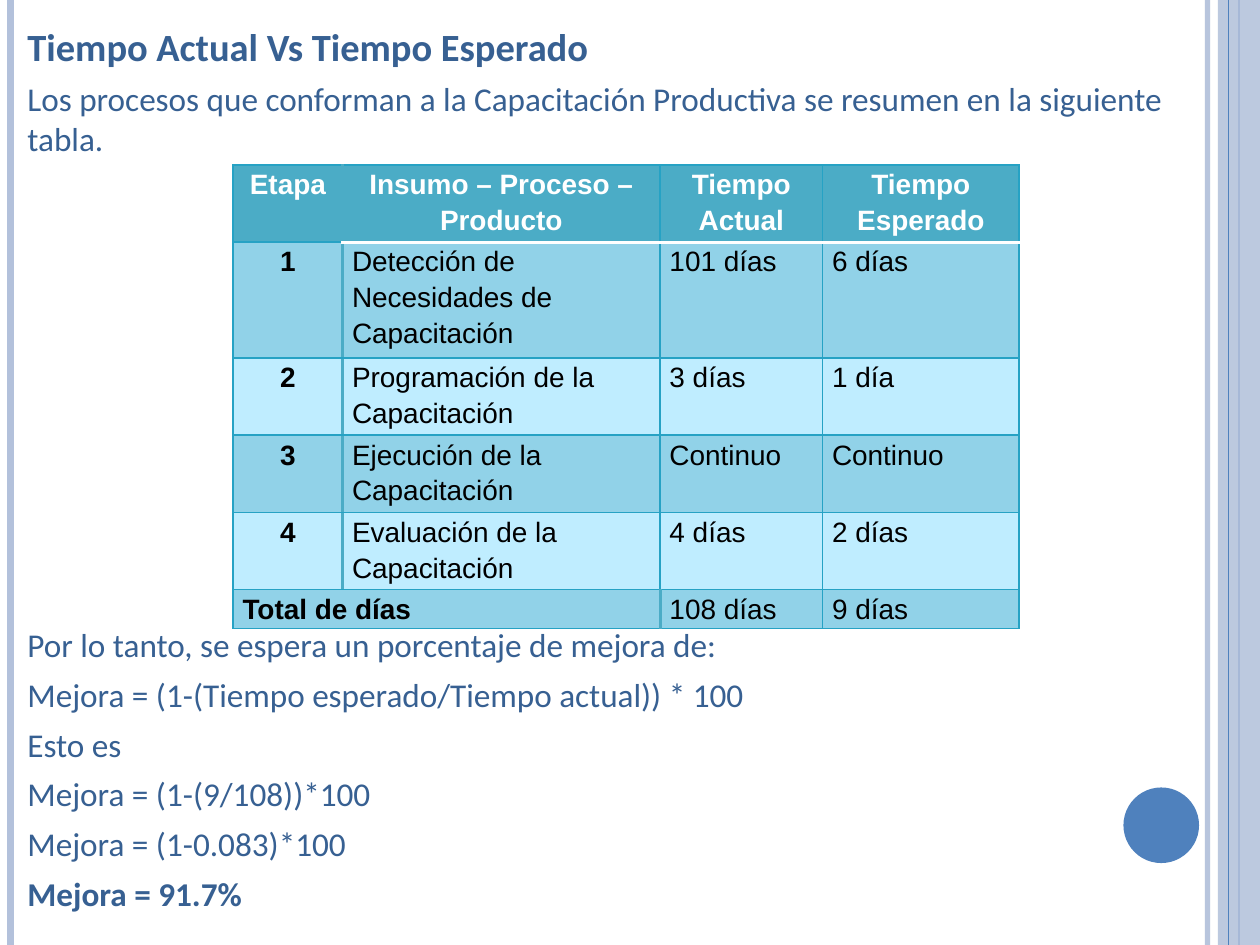
from lxml import etree
from pptx import Presentation
from pptx.dml.color import RGBColor
from pptx.enum import shapes, text
from pptx.oxml.ns import qn
from pptx.util import Pt

PALE, BLUE, INK = "B3C1DB", "4F81BD", "376092"
TEAL, EDGE, WHITE, BLACK = "4BACC6", "26A2C4", "FFFFFF", "000000"
DARK_BAND, LIGHT_BAND = "91D2E8", "BFEDFF"
PAGE_WIDTH, PAGE_HEIGHT = 720, 540
LINE_HEIGHT = 20.5  # one line of table text

COLUMN_WIDTHS = [62.6, 181.4, 92.9, 112.3]
ROWS = [  # lines of text in the row, then its cells
    (2, ["Etapa", "Insumo – Proceso – Producto", "Tiempo Actual", "Tiempo Esperado"]),
    (3, ["1", "Detección de Necesidades de Capacitación", "101 días", "6 días"]),
    (2, ["2", "Programación de la Capacitación", "3 días", "1 día"]),
    (2, ["3", "Ejecución de la Capacitación", "Continuo", "Continuo"]),
    (2, ["4", "Evaluación de la Capacitación", "4 días", "2 días"]),
    (1, ["Total de días", "", "108 días", "9 días"]),
]
INTRO = [
    ("Tiempo Actual Vs Tiempo Esperado", 22, True),
    ("Los procesos que conforman a la Capacitación Productiva se resumen "
     "en la siguiente tabla.", 19, False),
]
RESULT = [
    ("Por lo tanto, se espera un porcentaje de mejora de:", 19, False),
    ("Mejora = (1-(Tiempo esperado/Tiempo actual)) * 100", 19, False),
    ("Esto es", 19, False),
    ("Mejora = (1-(9/108))*100", 19, False),
    ("Mejora = (1-0.083)*100", 19, False),
    ("Mejora = 91.7%", 19, True),
]


def paint(color_format, color):
    color_format.rgb = RGBColor.from_string(color)


def set_alpha(shape, percent):
    color = next(shape._element.spPr.iter(qn("a:srgbClr")))
    etree.SubElement(color, qn("a:alpha")).set("val", str(percent * 1000))


def add_stripe(page, x, color, width):
    line = page.shapes.add_connector(
        shapes.MSO_CONNECTOR.STRAIGHT, Pt(x), Pt(0), Pt(x), Pt(PAGE_HEIGHT))
    paint(line.line.color, color)
    line.line.width = Pt(width)
    etree.SubElement(line._element.spPr, qn("a:effectLst"))
    return line


def add_solid(page, kind, left, top, width, height, color):
    shape = page.shapes.add_shape(kind, Pt(left), Pt(top), Pt(width), Pt(height))
    shape.shadow.inherit = False
    shape.fill.solid()
    paint(shape.fill.fore_color, color)
    shape.line.fill.background()
    return shape


def add_text(page, top, height, lines):
    box = page.shapes.add_textbox(Pt(8.6), Pt(top), Pt(686), Pt(height))
    frame = box.text_frame
    frame.word_wrap = True
    for index, (words, size, bold) in enumerate(lines):
        para = frame.paragraphs[0]
        if index:
            para = frame.add_paragraph()
            para.space_before = Pt(5.6)
        para.text = words
        para.font.name = "Calibri"
        para.font.size = Pt(size)
        para.font.bold = bold
        paint(para.font.color, INK)


def set_borders(cell, borders):
    """Borders come as (color, width) for left, right, top and bottom."""
    properties = cell._tc.get_or_add_tcPr()
    for index, (side, (color, width)) in enumerate(zip("LRTB", borders)):
        line = etree.Element(qn(f"a:ln{side}"), w=str(Pt(width)))
        solid = etree.SubElement(line, qn("a:solidFill"))
        etree.SubElement(solid, qn("a:srgbClr"), val=color)
        properties.insert(index, line)


def fill_cell(cell, words, row, column):
    header, first = row == 0, column == 0
    total = row == len(ROWS) - 1
    cell.margin_left = cell.margin_right = Pt(5.4)
    cell.margin_top = cell.margin_bottom = Pt(0)
    cell.fill.solid()
    band = DARK_BAND if row % 2 else LIGHT_BAND
    paint(cell.fill.fore_color, TEAL if header else band)

    para = cell.text_frame.paragraphs[0]
    para.text = words
    para.line_spacing = 1.15
    if header or (first and not total):
        para.alignment = text.PP_ALIGN.CENTER
    para.font.name = "Arial"
    para.font.size = Pt(16)
    para.font.bold = header or first
    paint(para.font.color, WHITE if header else BLACK)

    thin, thick, rule = (EDGE, 1), (TEAL, 2), (WHITE, 2)
    left = thick if column == 1 else thin
    right = thick if first else thin
    top = rule if row == 1 and not first else thin
    bottom = rule if header and not first else thin
    set_borders(cell, [left, right, top, bottom])


def add_times_table(page):
    frame = page.shapes.add_table(
        len(ROWS), len(COLUMN_WIDTHS), Pt(133.2), Pt(94.2),
        Pt(sum(COLUMN_WIDTHS)), Pt(LINE_HEIGHT * sum(count for count, _ in ROWS)))
    table = frame.table
    for column, width in zip(table.columns, COLUMN_WIDTHS):
        column.width = Pt(width)
    for row, (count, words) in enumerate(ROWS):
        table.rows[row].height = Pt(LINE_HEIGHT * count)
        for column, word in enumerate(words):
            fill_cell(table.cell(row, column), word, row, column)
    last = len(ROWS) - 1
    table.cell(last, 0).merge(table.cell(last, 1))


def add_frame(page):
    set_alpha(add_stripe(page, 690, PALE, 3), 93)
    add_stripe(page, 6, PALE, 4.5)
    add_stripe(page, 708, BLUE, 1.5)
    band = add_solid(page, shapes.MSO_SHAPE.RECTANGLE,
                     696, 0, PAGE_WIDTH - 696, PAGE_HEIGHT, PALE)
    set_alpha(band, 87)
    add_stripe(page, 702, BLUE, 0.75)
    add_solid(page, shapes.MSO_SHAPE.OVAL, 642, 450, 43.2, 43.2, BLUE)


def main():
    deck = Presentation()
    deck.slide_width, deck.slide_height = Pt(PAGE_WIDTH), Pt(PAGE_HEIGHT)
    page = deck.slides.add_slide(deck.slide_layouts[6])
    # Side stripes and circle
    add_frame(page)
    # Heading and introduction
    add_text(page, 9.4, 84, INTRO)
    # Times per stage
    add_times_table(page)
    # Expected improvement
    add_text(page, 353.4, 177, RESULT)
    deck.save("out.pptx")


if __name__ == "__main__":
    main()
